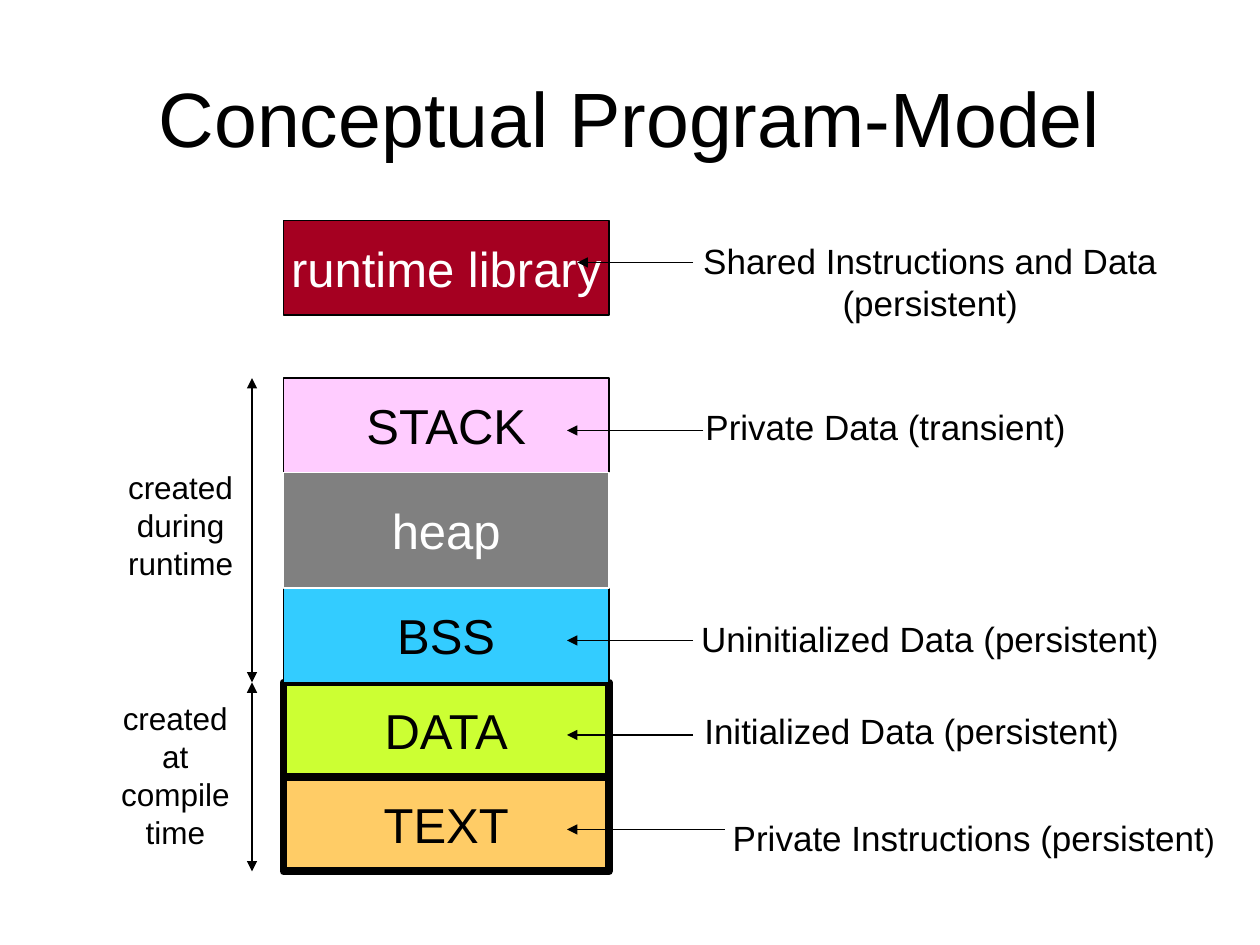
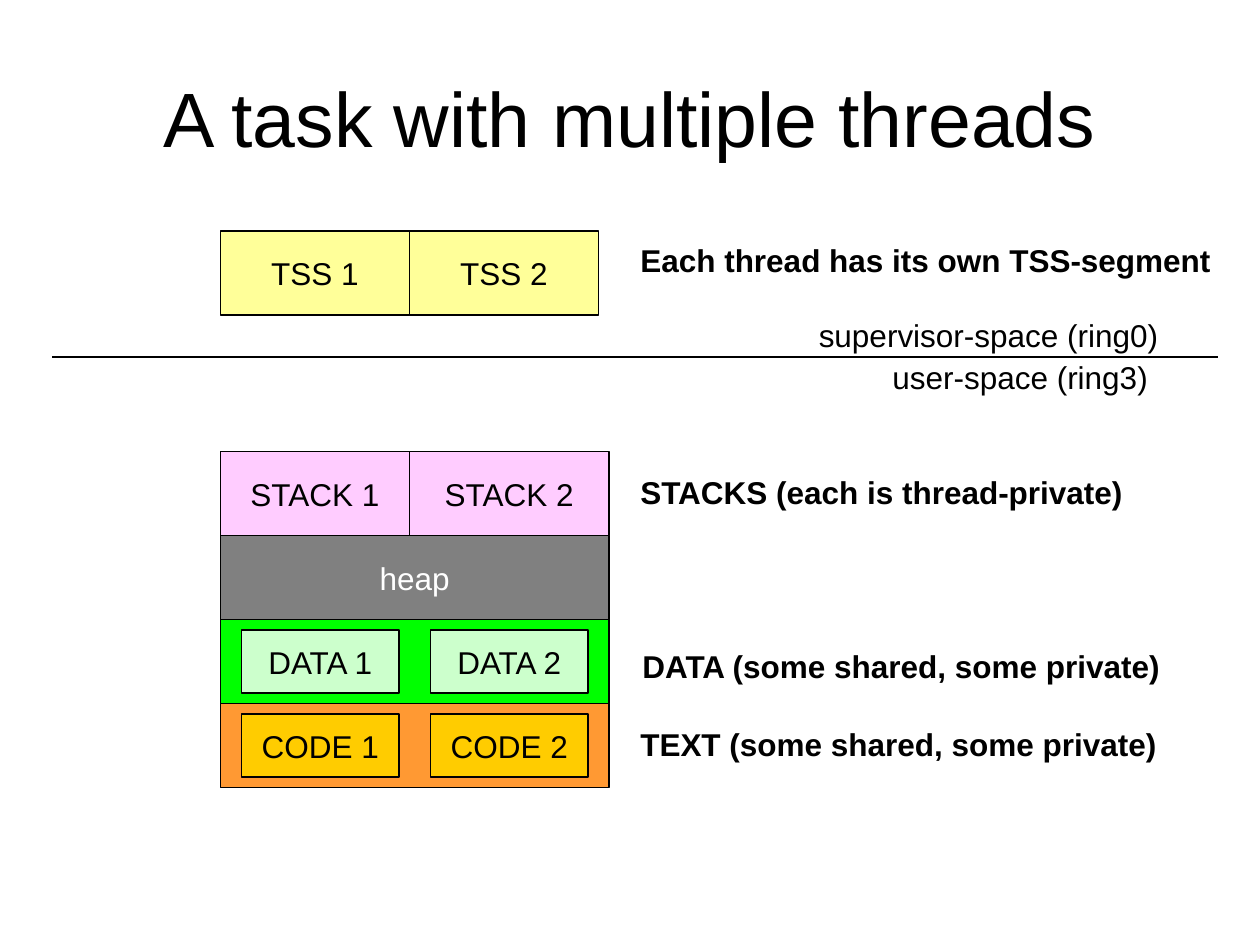
from lxml.etree import SubElement
from pptx import Presentation
from pptx.dml.color import RGBColor
from pptx.enum.shapes import MSO_CONNECTOR, MSO_SHAPE
from pptx.enum.text import MSO_ANCHOR, MSO_AUTO_SIZE, PP_ALIGN
from pptx.oxml.ns import qn
from pptx.util import Inches, Pt

COLORS = {
    "black": "000000",
    "white": "FFFFFF",
    "text": "FFCC66",
    "data": "CCFF33",
    "bss": "33CCFF",
    "stack": "FFCCFF",
    "heap": "808080",
    "library": "A50021",
    "tss": "FFFF99",
    "shared code": "FF9933",
    "private code": "FFCC00",
    "shared data": "00FF00",
    "private data": "CCFFCC",
}
COLUMNS, ROWS = 120, 90


class Deck:
    font = "Arial"
    thin, thick = 0.75, 4.5

    def __init__(self):
        self.presentation = Presentation()
        self.presentation.slide_width = Inches(10)
        self.presentation.slide_height = Inches(7.5)
        self.slide = None

    def x(self, columns):
        return round(self.presentation.slide_width * columns / COLUMNS)

    def y(self, rows):
        return round(self.presentation.slide_height * rows / ROWS)

    def color(self, name):
        return RGBColor.from_string(COLORS[name])

    def place(self, left, top, width, height):
        return self.x(left), self.y(top), self.x(width), self.y(height)

    def add_text(self, paragraph, text, size, color="black", bold=False, align=PP_ALIGN.CENTER):
        paragraph.alignment = align
        run = paragraph.add_run()
        run.text = text
        run.font.name = self.font
        run.font.size = Pt(size)
        run.font.bold = bold
        run.font.color.rgb = self.color(color)

    def start(self, title):
        self.slide = self.presentation.slides.add_slide(self.presentation.slide_layouts[5])
        shape = self.slide.shapes.title
        shape.left, shape.top, shape.width, shape.height = self.place(6, 3.6, 108, 15)
        shape.text_frame.vertical_anchor = MSO_ANCHOR.MIDDLE
        shape.text_frame.auto_size = MSO_AUTO_SIZE.NONE
        self.add_text(shape.text_frame.paragraphs[0], title, 44)

    def block(self, bounds, fill, text="", size=18, color="black", border="black", weight=thin):
        shape = self.slide.shapes.add_shape(MSO_SHAPE.RECTANGLE, *self.place(*bounds))
        shape.shadow.inherit = False
        shape.fill.solid()
        shape.fill.fore_color.rgb = self.color(fill)
        shape.line.color.rgb = self.color(border)
        shape.line.width = Pt(weight)
        if text:
            shape.text_frame.word_wrap = False
            shape.text_frame.vertical_anchor = MSO_ANCHOR.MIDDLE
            self.add_text(shape.text_frame.paragraphs[0], text, size, color)

    def label(self, left, top, width, lines, size=18, bold=False, align=PP_ALIGN.LEFT):
        height = len(lines) * size / 5 + 1.2
        frame = self.slide.shapes.add_textbox(*self.place(left, top, width, height)).text_frame
        frame.word_wrap = True
        for index, line in enumerate(lines):
            paragraph = frame.add_paragraph() if index else frame.paragraphs[0]
            self.add_text(paragraph, line, size, bold=bold, align=align)
        return frame

    def line(self, start, end, arrows=()):
        connector = self.slide.shapes.add_connector(
            MSO_CONNECTOR.STRAIGHT, self.x(start[0]), self.y(start[1]), self.x(end[0]), self.y(end[1]))
        connector.line.color.rgb = self.color("black")
        connector.line.width = Pt(self.thin)
        properties = connector.element.spPr
        for arrow in arrows:
            SubElement(properties.find(qn("a:ln")), qn(f"a:{arrow}"), type="triangle")
        SubElement(properties, qn("a:effectLst"))


def build_program_model(deck):
    deck.start("Conceptual Program-Model")
    left, width, height = 27, 31, 9
    for top, fill, name in [(74, "text", "TEXT"), (65, "data", "DATA")]:
        deck.block((left, top, width, height), fill, name, 28, weight=deck.thick)
    for top, fill, name in [(56, "bss", "BSS"), (36, "stack", "STACK")]:
        deck.block((left, top, width, height), fill, name, 28)
    deck.block((left, 45, width, 11), "heap", "heap", 28, "white", "white")
    deck.block((left, 21, width, height), "library", "runtime library", 28, "white")

    instructions = deck.label(68.6, 77.2, 50, ["Private Instructions (persistent"], 20)
    deck.add_text(instructions.paragraphs[0], ")", 18, align=PP_ALIGN.LEFT)
    deck.label(65.9, 67, 43, ["Initialized Data (persistent)"], 20)
    deck.label(65.6, 58.2, 47, ["Uninitialized Data (persistent)"], 20)
    deck.label(66, 38, 38, ["Private Data (transient)"], 20)
    deck.label(65.3, 22.2, 46.6, ["Shared Instructions and Data", "(persistent)"], 20,
               align=PP_ALIGN.CENTER)
    for row, start, end in [(79, 69, 54), (70, 66, 54), (61, 66, 54), (41, 67, 54), (25, 66, 55)]:
        deck.line((start, row), (end, row), ["tailEnd"])

    for top, bottom in [(65, 83), (36, 65)]:
        deck.line((24, top), (24, bottom), ["headEnd", "tailEnd"])
    deck.label(9.6, 66, 14.2, ["created", "at", "compile", "time"], align=PP_ALIGN.CENTER)
    deck.label(10.5, 44, 13.4, ["created", "during", "runtime"], align=PP_ALIGN.CENTER)


def build_threads(deck):
    deck.start("A task with multiple threads")
    left, width, height, half = 21, 37, 8, 18
    stack_top = 43
    heap_top, data_top, code_top = (stack_top + height * step for step in (1, 2, 3))

    for top, name, shared, private in [(code_top, "CODE", "shared code", "private code"),
                                       (data_top, "DATA", "shared data", "private data")]:
        deck.block((left, top, width, height), shared)
        for index in range(2):
            deck.block((left + 2 + index * half, top + 1, 15, height - 2), private,
                       f"{name} {index + 1}")
    for top, name, fill, total in [(stack_top, "STACK", "stack", width),
                                   (22, "TSS", "tss", 2 * half)]:
        deck.block((left, top, half, height), fill, f"{name} 1")
        deck.block((left + half, top, total - half, height), fill, f"{name} 2")
    deck.block((left, heap_top, width, height), "heap", "heap", color="white")

    for column, row, text in [(59.8, 68.5, "TEXT (some shared, some private)"),
                              (60, 61, "DATA (some shared, some private)"),
                              (59.8, 44.5, "STACKS (each is thread-private)"),
                              (59.8, 22.4, "Each thread has its own TSS-segment")]:
        deck.label(column, row, 58, [text], bold=True)

    deck.line((5, 34), (116, 34))
    deck.label(83.8, 33.5, 28, ["user-space (ring3)"])
    deck.label(76.8, 29.5, 36, ["supervisor-space (ring0)"])


def main():
    deck = Deck()
    build_program_model(deck)
    build_threads(deck)
    deck.presentation.save("out.pptx")


if __name__ == "__main__":
    main()
